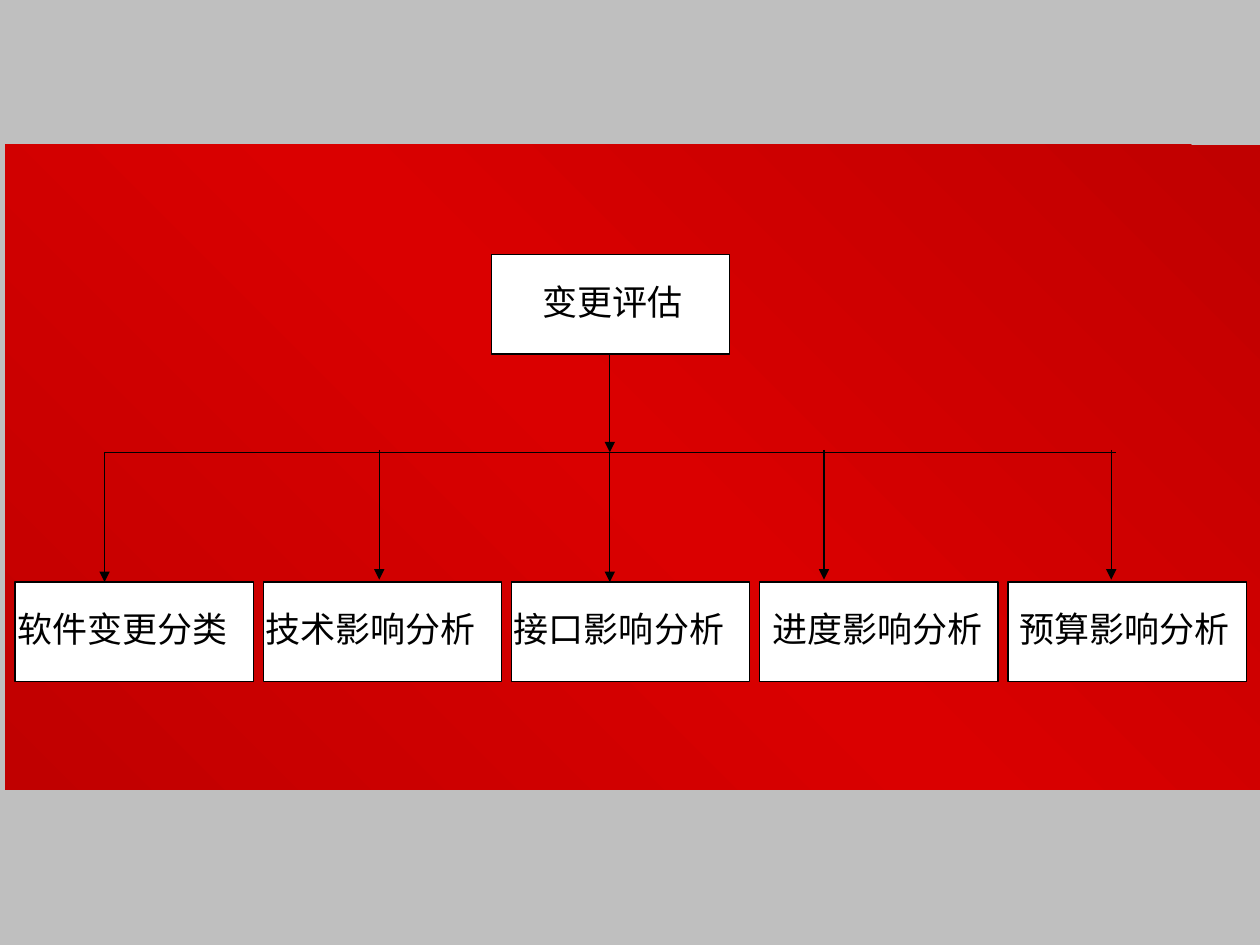
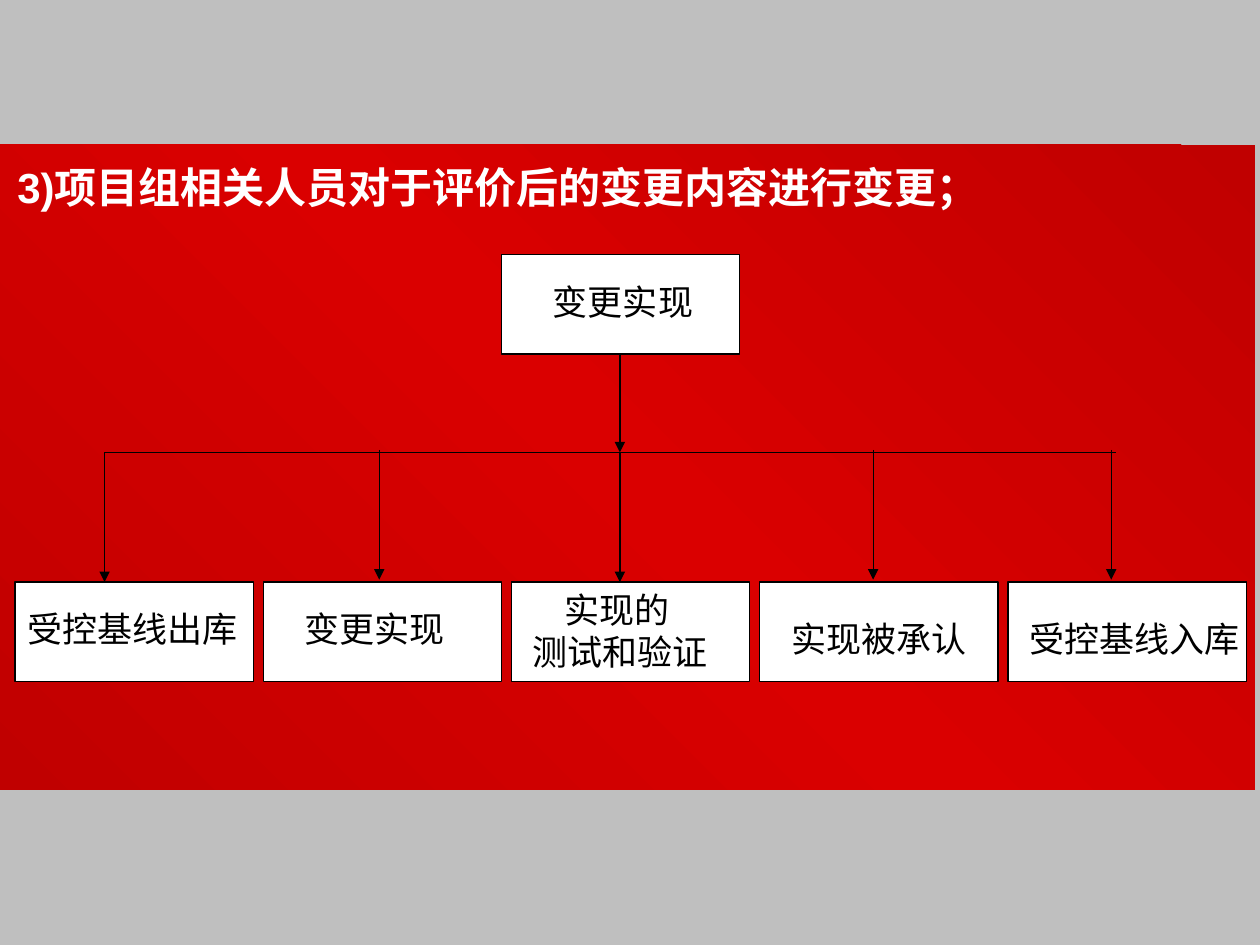
from copy import deepcopy
from dataclasses import dataclass

from lxml import etree
from pptx import Presentation
from pptx import util as u
from pptx.dml.color import RGBColor
from pptx.enum import shapes, text
from pptx.oxml.ns import qn

GREY, BLACK, WHITE = "BFBFBF", "000000", "FFFFFF"
REDS = ((0, "C00000"), (50, "DA0000"), (100, "C00000"))
BOX_W, BOX_H = 1.89, 0.79
ROOT_Y, BAR_Y, LEAF_Y = 2.02, 3.59, 4.62
LEAF_X, STEP = 0.12, 1.97
BAR = (0.83, 8.86)
LIFT = 0.02  # inner arrows start and end slightly higher


@dataclass
class Label:
    words: str
    left: float
    top: float = 4.77
    width: float = 1.9
    height: float = 0.44
    size: int = 20
    font: str = "Cambria"
    color: str = BLACK
    bold: bool = False
    indent: float = 0  # left indent of the first paragraph


@dataclass
class Chart:
    panel: float  # left edge of the red panel
    root: float  # left edge of the top box
    fourth: float  # place of the fourth arrow
    labels: list[Label]


CHARTS = [
    Chart(0.04, 3.9, 6.54, [
        Label("变更评估", 4.21, 2.18),
        Label("软件变更分类", 0.04),
        Label("技术影响分析", 2.01),
        Label("接口影响分析", 3.98, font="Arial"),
        Label("进度影响分析", 6.03),
        Label("预算影响分析", 7.99),
    ]),
    Chart(-0.04, 3.98, 6.93, [
        Label("3)项目组相关人员对于评价后的变更内容进行变更；", 0.04, 1.23, 9.9,
              0.5, 24, "Arial", WHITE, True),
        Label("变更实现", 4.29, 2.18),
        Label("受控基线出库", 0.12),
        Label("变更实现", 2.32),
        Label("实现的\n测试和验证", 4.13, 4.62, height=0.77, indent=0.25),
        Label("实现被承认", 6.18, 4.85),
        Label("受控基线入库", 8.07, 4.85),
    ]),
]


def paint(target, color: str) -> None:
    """Set a solid colour on a fill."""
    target.solid()
    target.fore_color.rgb = RGBColor.from_string(color)


def add_panel(slide, left: float) -> None:
    panel = slide.shapes.add_shape(
        shapes.MSO_SHAPE.RECTANGLE,
        *map(u.Inches, (left, 1.15, 10, 5.12)))
    panel.shadow.inherit = False
    panel.line.fill.background()
    fill = panel.fill
    fill.gradient()
    fill.gradient_angle = 45
    # A new gradient has two stops; a third goes between them
    first = panel._element.spPr.find(".//" + qn("a:gs"))
    first.addnext(deepcopy(first))
    for stop, (place, color) in zip(fill.gradient_stops, REDS):
        stop.position = place / 100
        stop.color.rgb = RGBColor.from_string(color)


def add_box(slide, left: float, top: float) -> None:
    box = slide.shapes.add_shape(
        shapes.MSO_SHAPE.FLOWCHART_PROCESS,
        *map(u.Inches, (left, top, BOX_W, BOX_H)))
    box.shadow.inherit = False
    paint(box.fill, WHITE)
    paint(box.line.fill, BLACK)
    box.line.width = u.Pt(0.75)


def add_line(slide, x1: float, y1: float, x2: float, y2: float,
             arrow: bool = True) -> None:
    line = slide.shapes.add_connector(
        shapes.MSO_CONNECTOR.STRAIGHT, *map(u.Inches, (x1, y1, x2, y2)))
    paint(line.line.fill, BLACK)
    line.line.width = u.Pt(0.75)
    if arrow:
        etree.SubElement(line.line._ln, qn("a:tailEnd"), type="triangle")
    etree.SubElement(line._element.spPr, qn("a:effectLst"))


def add_label(slide, label: Label) -> None:
    box = slide.shapes.add_textbox(*map(
        u.Inches, (label.left, label.top, label.width, label.height)))
    frame = box.text_frame
    frame.word_wrap = True
    frame.text = label.words
    look = {"size": u.Pt(label.size), "name": label.font, "bold": label.bold}
    for para in frame.paragraphs:
        para.alignment = text.PP_ALIGN.LEFT
        font = para.runs[0].font
        for key, value in look.items():
            setattr(font, key, value)
        paint(font.fill, label.color)
    if label.indent:
        props = frame.paragraphs[0]._p.get_or_add_pPr()
        props.set("marL", str(u.Inches(label.indent)))


def add_chart(deck, chart: Chart) -> None:
    slide = deck.slides.add_slide(deck.slide_layouts[6])
    paint(slide.background.fill, GREY)
    add_panel(slide, chart.panel)

    # Top box and its leaves
    add_box(slide, chart.root, ROOT_Y)
    for i in range(5):
        add_box(slide, LEAF_X + i * STEP, LEAF_Y)

    # Stem, crossbar and drops
    mid = chart.root + 0.94
    add_line(slide, mid, ROOT_Y + BOX_H, mid, BAR_Y)
    add_line(slide, BAR[0], BAR_Y, BAR[1], BAR_Y, arrow=False)
    for x, lift in ((BAR[0], 0), (3.01, LIFT), (mid, 0),
                    (chart.fourth, LIFT), (8.82, LIFT)):
        add_line(slide, x, BAR_Y - lift, x, LEAF_Y - lift)

    for label in chart.labels:
        add_label(slide, label)


def main() -> None:
    deck = Presentation()
    deck.slide_width, deck.slide_height = u.Inches(10), u.Inches(7.5)
    for chart in CHARTS:
        add_chart(deck, chart)
    deck.save("out.pptx")


if __name__ == "__main__":
    main()
